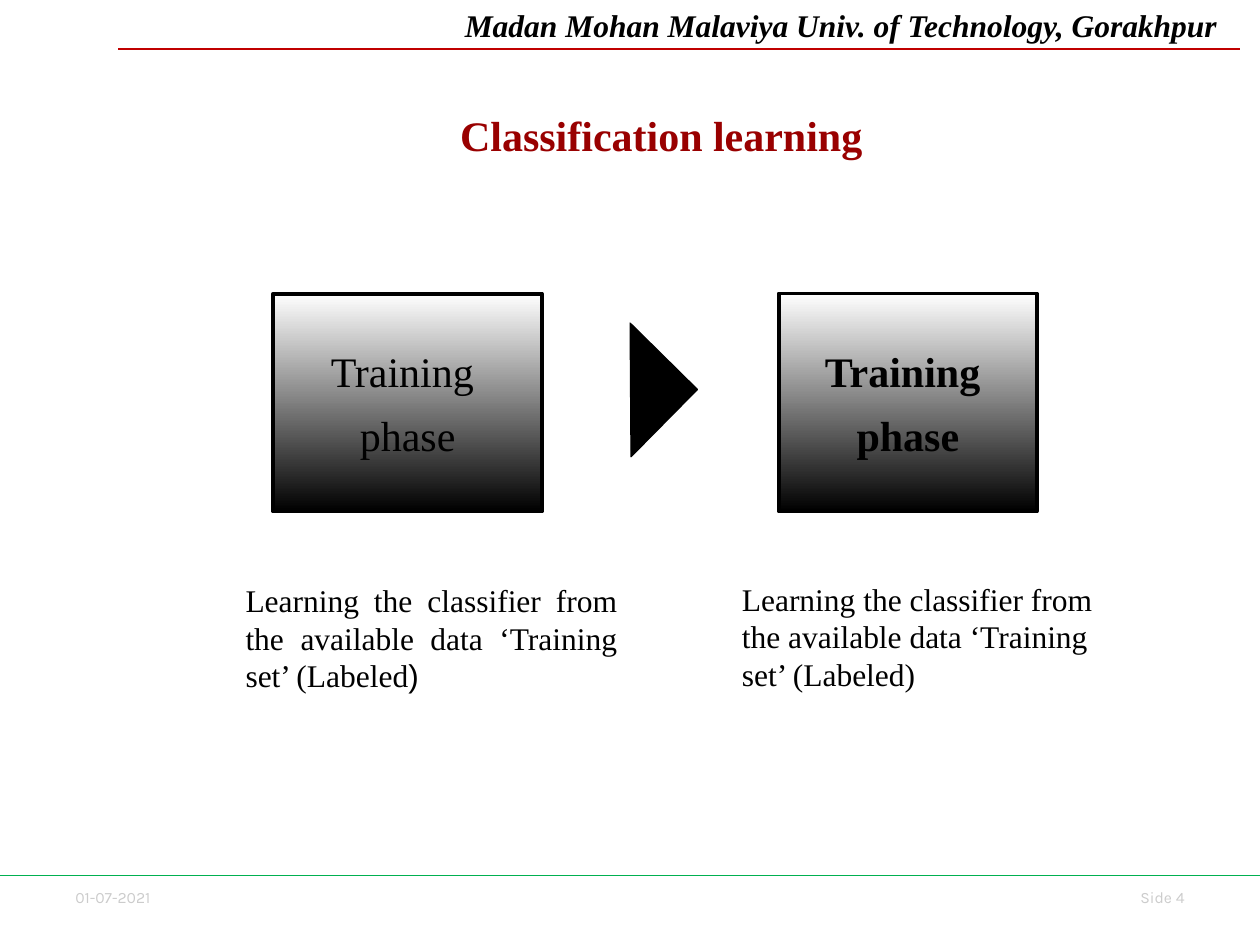
import pptx
import pptx.util
import pptx.dml.color
import pptx.enum.shapes
import pptx.enum.text
import lxml.etree
import pptx.oxml.ns

Inches, Pt = pptx.util.Inches, pptx.util.Pt
RGB = pptx.dml.color.RGBColor
SHAPE = pptx.enum.shapes.MSO_SHAPE
ALIGN = pptx.enum.text.PP_ALIGN
ANCHOR = pptx.enum.text.MSO_ANCHOR
qn = pptx.oxml.ns.qn

BLACK, WHITE = RGB(0, 0, 0), RGB(255, 255, 255)
MAROON, GREY = RGB(0x99, 0, 0), RGB(0xCC, 0xCC, 0xCC)
RED, GREEN = RGB(0xC0, 0, 0), RGB(0, 0xB0, 0x50)
SERIF = "Times New Roman"

# Content: a run is (text, size, font, colour, bold, italic)
TITLE = [(" ", 28, SERIF, MAROON, True, False),
         ("Classification learning", 24, SERIF, MAROON, True, False)]
PHASE = ["Training ", "phase"]
NOTE = "Learning the classifier from the available data ‘Training set’ (Labeled"
NOTES = [
    ((1.85, 4.56, 3.15, 1.01), ALIGN.JUSTIFY,
     [(NOTE, 18, SERIF, BLACK, False, False),
      (")", 18, "Arial", BLACK, False, False)]),
    ((5.79, 4.55, 3.04, 1.01), ALIGN.LEFT,
     [(NOTE + ")", 18, SERIF, BLACK, False, False)]),
]
FRAME = [
    ((0.5, 7, 1.03, 0.25), ALIGN.LEFT,
     [("01-07-2021", 9, "Karla", GREY, False, False)]),
    ((8.67, 7, 0.83, 0.25), ALIGN.RIGHT,
     [("Side 4", 9, "Karla", GREY, False, False)]),
    ((3.59, 0, 6.41, 0.4), ALIGN.LEFT,
     [("Madan Mohan Malaviya Univ. of Technology, Gorakhpur",
       18, SERIF, BLACK, True, True)]),
]
RULES = [(0.94, 9.84, 0.39, RED), (0, 10, 6.95, GREEN)]
TOP, HIGH = 2.33, 1.73
LEFT_BOX = (2.17, TOP, 2.13, HIGH)
RIGHT_BOX = (6.18, TOP, 2.05, HIGH)

deck = pptx.Presentation()
deck.slide_width, deck.slide_height = Inches(10), Inches(7.5)
slide = deck.slides.add_slide(deck.slide_layouts[1])
shapes = slide.shapes


def place(shape, box):
    shape.left, shape.top, shape.width, shape.height = map(Inches, box)


def write(par, runs, align):
    par.alignment = align
    for text, size, face, color, bold, slant in runs:
        run = par.add_run()
        run.text = text
        font = run.font
        font.size, font.name = Pt(size), face
        font.bold, font.italic = bold, slant
        font.color.rgb = color


def add_text(box, align, runs):
    frame = shapes.add_textbox(*map(Inches, box)).text_frame
    frame.word_wrap = True
    write(frame.paragraphs[0], runs, align)


def fill_phase(shape, bold):
    """Shade a phase box from white down to black and label it."""
    shape.fill.gradient()
    shape.fill.gradient_angle = 270
    for stop, color in zip(shape.fill.gradient_stops, (WHITE, BLACK)):
        stop.color.rgb = color
    shape.line.color.rgb, shape.line.width = BLACK, Pt(2.25)
    frame = shape.text_frame
    frame.word_wrap, frame.vertical_anchor = False, ANCHOR.MIDDLE
    for i, word in enumerate(PHASE):
        par = frame.add_paragraph() if i else frame.paragraphs[0]
        props = par._p.get_or_add_pPr()
        props.set("marL", "0")
        props.set("indent", "0")
        lxml.etree.SubElement(props, qn("a:buNone"))
        par.space_before = Pt(8 * i)
        write(par, [(word, 24, SERIF, BLACK, bold, False)], ALIGN.CENTER)


# Header and footer
for box, align, runs in FRAME:
    add_text(box, align, runs)
for x1, x2, y, color in RULES:
    rule = shapes.add_connector(pptx.enum.shapes.MSO_CONNECTOR.STRAIGHT,
                                Inches(x1), Inches(y), Inches(x2), Inches(y))
    rule.line.color.rgb, rule.line.width = color, Pt(0.75)
    lxml.etree.SubElement(rule._element.spPr, qn("a:effectLst"))

# Title
place(shapes.title, (0.91, 0.76, 8.58, 0.75))
shapes.title.text_frame.vertical_anchor = ANCHOR.TOP
write(shapes.title.text_frame.paragraphs[0], TITLE, ALIGN.CENTER)

# Two phase boxes
body = slide.placeholders[1]
place(body, LEFT_BOX)
fill_phase(body, False)
test = shapes.add_shape(SHAPE.RECTANGLE, *map(Inches, RIGHT_BOX))
test.shadow.inherit = False
fill_phase(test, True)

# Arrow between the boxes
arrow = shapes.add_shape(SHAPE.RIGHT_TRIANGLE,
                         *map(Inches, (4.63, 2.72, 0.75, 0.75)))
arrow.rotation = 224.6
arrow.shadow.inherit = False
arrow.fill.solid()
arrow.fill.fore_color.rgb = BLACK
arrow.line.color.rgb, arrow.line.width = BLACK, Pt(0.75)

# Notes under the boxes
for box, align, runs in NOTES:
    add_text(box, align, runs)

deck.save("out.pptx")
